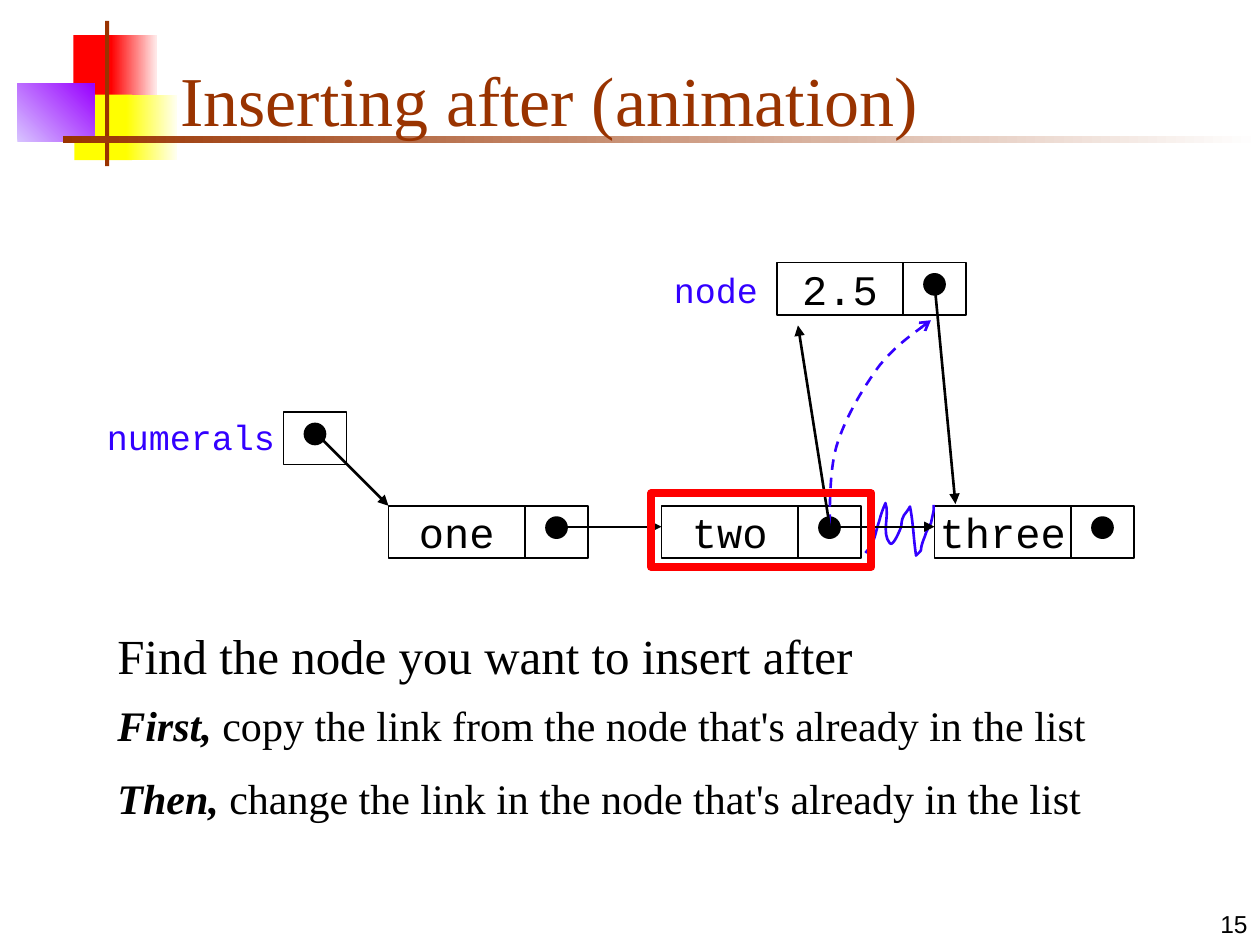
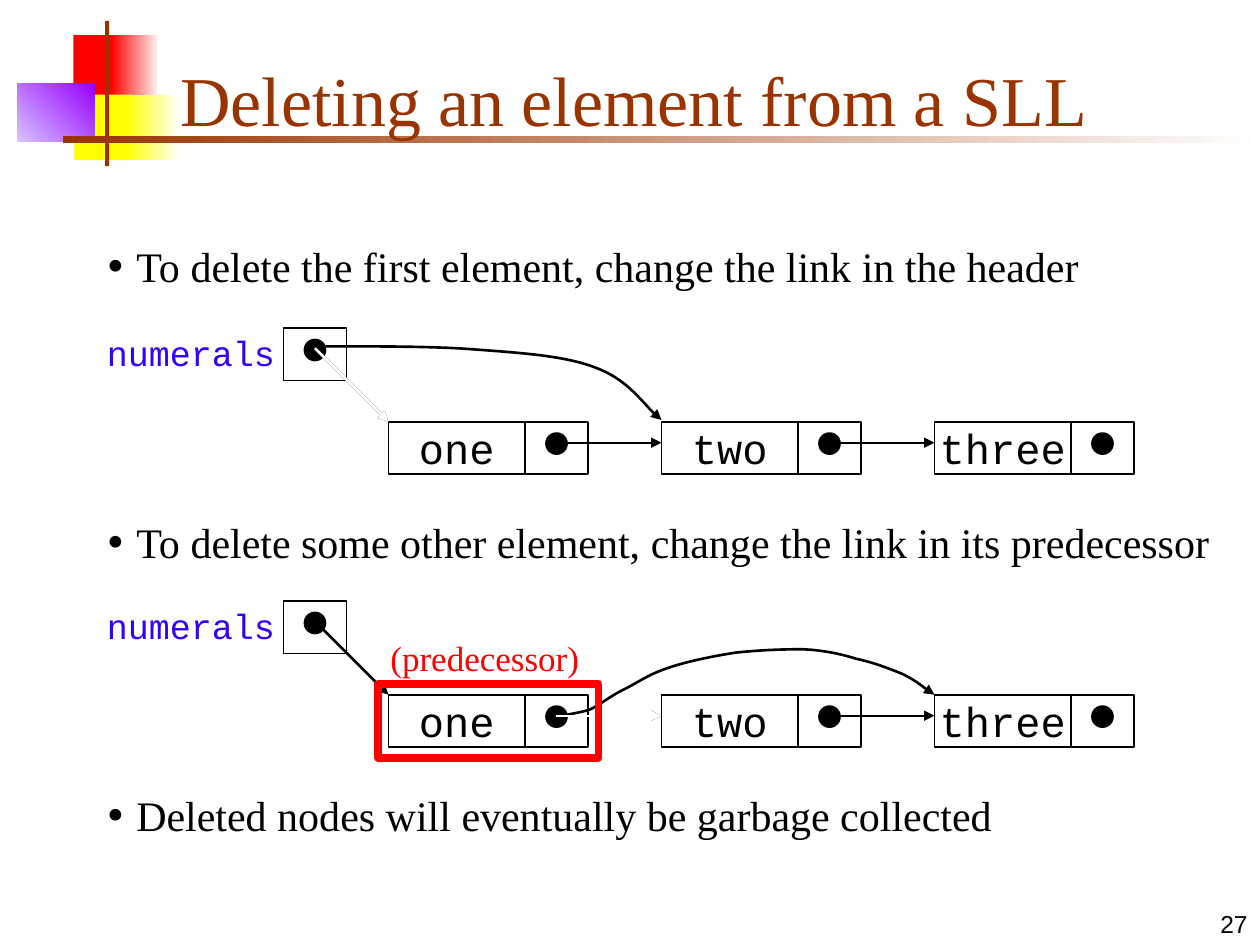
from lxml import etree
from pptx import Presentation
from pptx.dml.color import RGBColor
from pptx.enum.dml import MSO_LINE
from pptx.enum.shapes import MSO_CONNECTOR, MSO_SHAPE
from pptx.enum.text import MSO_ANCHOR, PP_ALIGN
from pptx.oxml.ns import qn
from pptx.util import Pt

RECT, OVAL = MSO_SHAPE.RECTANGLE, MSO_SHAPE.OVAL
STRAIGHT, DASH = MSO_CONNECTOR.STRAIGHT, MSO_LINE.DASH
TOP, MIDDLE, BOTTOM = MSO_ANCHOR.TOP, MSO_ANCHOR.MIDDLE, MSO_ANCHOR.BOTTOM
LEFT, CENTER, RIGHT = PP_ALIGN.LEFT, PP_ALIGN.CENTER, PP_ALIGN.RIGHT

BLACK = RGBColor(0x00, 0x00, 0x00)
WHITE = RGBColor(0xFF, 0xFF, 0xFF)
RED = RGBColor(0xFF, 0x00, 0x00)
PINK = RGBColor(0xFF, 0xEA, 0xEA)
YELLOW = RGBColor(0xFF, 0xFF, 0x00)
CREAM = RGBColor(0xFF, 0xFF, 0xF0)
LILAC = RGBColor(0xD8, 0xC4, 0xFF)
PURPLE = RGBColor(0x99, 0x00, 0xFF)
BROWN = RGBColor(0x99, 0x33, 0x00)
BLUE = RGBColor(0x33, 0x00, 0xFF)

SERIF, MONO, SANS = "Times New Roman", "Courier New", "Arial"


def draw(item, ink, width, tail=None, dash=None):
    """Outline a shape, line or curve without shadow; tail names an arrowhead."""
    item.line.color.rgb = ink
    item.line.width = Pt(width)
    if dash:
        item.line.dash_style = dash
    props = item._element.spPr
    if tail:
        etree.SubElement(props.find(qn("a:ln")), qn("a:tailEnd"), type=tail)
    etree.SubElement(props, qn("a:effectLst"))


def write(shape, text, size, face, ink, align=LEFT, anchor=TOP, lead="", bullet=False):
    """Fill a shape with one paragraph, opened by a bold italic lead if given."""
    frame = shape.text_frame
    frame.word_wrap = anchor != MIDDLE
    frame.vertical_anchor = anchor
    para = frame.paragraphs[0]
    para.text = lead or text
    if lead:
        para.add_run().text = text
        para.runs[0].font.bold = para.runs[0].font.italic = True
    if bullet:
        props = para._p.get_or_add_pPr()
        props.set("marL", str(Pt(16.8)))
        props.set("indent", str(-Pt(16.8)))
        etree.SubElement(props, qn("a:buSzPct"), val="117000")
        etree.SubElement(props, qn("a:buFont"), typeface=SERIF)
        etree.SubElement(props, qn("a:buChar"), char="•")
    para.alignment = align
    for run in para.runs:
        run.font.size = Pt(size)
        run.font.name = face
        run.font.color.rgb = ink


deck = Presentation()
deck.slide_width, deck.slide_height = Pt(720), Pt(540)

# Shared decoration: left, top, width, height, first colour, last colour, angle
BARS = [
    (42, 20, 25, 37.5, RED, None, 0),
    (63.5, 20, 26, 37.5, RED, PINK, 0),
    (42.5, 54, 33, 37.5, YELLOW, None, 0),
    (72, 54, 29, 37.5, YELLOW, CREAM, 0),
    (10, 48, 44, 33, LILAC, PURPLE, 45),
    (60, 12, 2.4, 83, BROWN, None, 0),
    (36, 78, 684, 3.8, BROWN, WHITE, 0),
]
slides = []
for title, number in [
    ("Inserting after (animation)", "15"),
    ("Deleting an element from a SLL", "27"),
]:
    slide = deck.slides.add_slide(deck.slide_layouts[6])
    slides.append(slide)
    for x, y, w, h, first, last, angle in BARS:
        bar = slide.shapes.add_shape(RECT, Pt(x), Pt(y), Pt(w), Pt(h))
        bar.shadow.inherit = False
        bar.line.fill.background()
        if last:
            bar.fill.gradient()
            bar.fill.gradient_angle = angle
            for stop, tint in zip(bar.fill.gradient_stops, (first, last)):
                stop.color.rgb = tint
            bar.fill.gradient_stops[0].position = 0
            bar.fill.gradient_stops[1].position = 1
        else:
            bar.fill.solid()
            bar.fill.fore_color.rgb = first
    box = slide.shapes.add_textbox(Pt(570), Pt(504), Pt(150), Pt(36))
    write(box, number, 14, SANS, BLACK, RIGHT, BOTTOM)
    box = slide.shapes.add_textbox(Pt(96), Pt(18), Pt(613.5), Pt(66))
    write(box, title, 40, SERIF, BROWN, LEFT, BOTTOM)
insert, delete = slides

# Linked lists: a header, then three nodes at equal steps
STEP, WORD_W, LINK_W, CELL_H, DOT = 156, 78, 36, 30, 12
nodes = [(insert, 444, 150, 72, "2.5")]
links = []
for slide, head in [(insert, 235.5), (delete, 187.5), (delete, 343.5)]:
    row = head + 53.5
    nodes.append((slide, 162, head, 0, ""))
    links.append((slide, 180, head + 11.5, 222, row, BLACK, 1.5))
    for i, word in enumerate(("one", "two", "three")):
        x = 222 + i * STEP
        nodes.append((slide, x, row, WORD_W, word))
        if i < 2:
            links.append((slide, x + 96, row + 12, x + STEP, row + 12, BLACK, 1))
    box = slide.shapes.add_textbox(Pt(54), Pt(head - 1.5), Pt(114), Pt(31.5))
    write(box, "numerals", 20, MONO, BLUE)

for slide, x, y, w, word in nodes:
    cells = [(x + w, LINK_W)]
    if word:
        cells.insert(0, (x, w))
    for left, width in cells:
        cell = slide.shapes.add_shape(RECT, Pt(left), Pt(y), Pt(width), Pt(CELL_H))
        cell.fill.background()
        draw(cell, BLACK, 1)
        if word and left == x:
            write(cell, word, 24, MONO, BLACK, CENTER, MIDDLE)
    dot = slide.shapes.add_shape(OVAL, Pt(x + w + 12), Pt(y + 6.5), Pt(DOT), Pt(DOT))
    dot.fill.solid()
    dot.fill.fore_color.rgb = BLACK
    draw(dot, BLACK, 1)

# Curves: a start, then two control points and an end for each segment
dashed = [
    (474, 300), (474.5, 292.5), (473.5, 267), (479, 252),
    (484, 237), (494, 220.5), (502.5, 209),
    (512, 197.5), (525.5, 188), (532, 183),
]
scrawl = [
    (494.5, 316), (500.5, 309), (499.5, 306.5), (502.5, 297.5),
    (503.5, 293.5), (504.5, 291), (506, 287.5),
    (508.5, 295), (503.5, 304.5), (508.5, 310.5),
    (510.5, 313), (515, 301), (515, 301),
    (515.5, 293.5), (517, 295), (520, 289.5),
    (522, 299.5), (522, 308), (523.5, 317.5),
    (529, 312), (524, 317.5), (528.5, 306.5),
    (529, 304), (532, 299), (532, 299),
    (534, 289.5), (533.5, 293), (533.5, 288.5),
]
bypass = [
    (180, 198), (194.5, 198), (242, 197.5), (268.5, 199.5),
    (295, 201.5), (322, 203), (340, 210),
    (358, 216.5), (370, 234), (378, 240),
]
arch = [
    (318, 409), (321, 409), (330.5, 407.5), (337, 405.5),
    (342.5, 403), (348.5, 398), (355.5, 394.5),
    (363, 391), (369.5, 386), (379.5, 382.5),
    (390, 378.5), (407, 375), (420, 373),
    (433.5, 371.5), (446.5, 371), (458.5, 371),
    (470, 371.5), (480, 373.5), (489.5, 376.5),
    (499, 378.5), (508, 382), (515.5, 385),
    (523.5, 389), (530, 394.5), (534, 397),
]
for slide, points, ink, tail, dash in [
    (insert, dashed, BLUE, "arrow", DASH),
    (insert, scrawl, BLUE, None, None),
    (delete, bypass, BLACK, "triangle", None),
    (delete, arch, BLACK, "triangle", None),
]:
    spots = [(Pt(x), Pt(y)) for x, y in points]
    pen = slide.shapes.build_freeform(*spots[0])
    pen.add_line_segments(spots[1:], close=False)
    curve = pen.convert_to_shape()
    curve.fill.background()
    draw(curve, ink, 1.5, tail, dash)
    # Turn each three straight steps into one Bézier segment
    route = curve._element.spPr.find(".//" + qn("a:path"))
    steps = route.findall(qn("a:lnTo"))
    for i in range(0, len(steps), 3):
        bend = etree.SubElement(route, qn("a:cubicBezTo"))
        for step in steps[i:i + 3]:
            bend.append(step[0])
            route.remove(step)

# New links in black, then removed links overdrawn in white
links += [
    (insert, 534, 162, 546, 288, BLACK, 1.5),
    (insert, 474, 300, 456, 186, BLACK, 1.5),
    (delete, 180, 199, 222, 241, WHITE, 1.5),
    (delete, 318, 409, 378, 409, WHITE, 1),
]
for slide, x1, y1, x2, y2, ink, width in links:
    link = slide.shapes.add_connector(STRAIGHT, Pt(x1), Pt(y1), Pt(x2), Pt(y2))
    draw(link, ink, width, "triangle")

for slide, x, y in [(insert, 372, 282), (delete, 216, 391)]:
    mark = slide.shapes.add_shape(RECT, Pt(x), Pt(y), Pt(126), Pt(42))
    mark.fill.background()
    draw(mark, RED, 4.5)

for slide, x, y, w, h, lead, text, size, face, ink in [
    (insert, 378, 150, 66, 31.5, "", "node", 20, MONO, BLUE),
    (insert, 60, 354, 582, 41, "", "Find the node you want to insert after", 28, SERIF, BLACK),
    (insert, 60, 396, 582, 36, "First, ",
     "copy the link from the node that's already in the list", 24, SERIF, BLACK),
    (insert, 60, 438, 624, 36, "Then,",
     " change the link in the node that's already in the list", 24, SERIF, BLACK),
    (delete, 216, 360, 126, 31, "", "(predecessor)", 20, SERIF, RED),
]:
    box = slide.shapes.add_textbox(Pt(x), Pt(y), Pt(w), Pt(h))
    write(box, text, size, face, ink, lead=lead)

for y, text in [
    (134, "To delete the first element, change the link in the header"),
    (291.5, "To delete some other element, change the link in its predecessor"),
    (447.5, "Deleted nodes will eventually be garbage collected"),
]:
    box = delete.shapes.add_textbox(Pt(54), Pt(y), Pt(648), Pt(41))
    write(box, text, 24, SERIF, BLACK, bullet=True)

deck.save("out.pptx")
